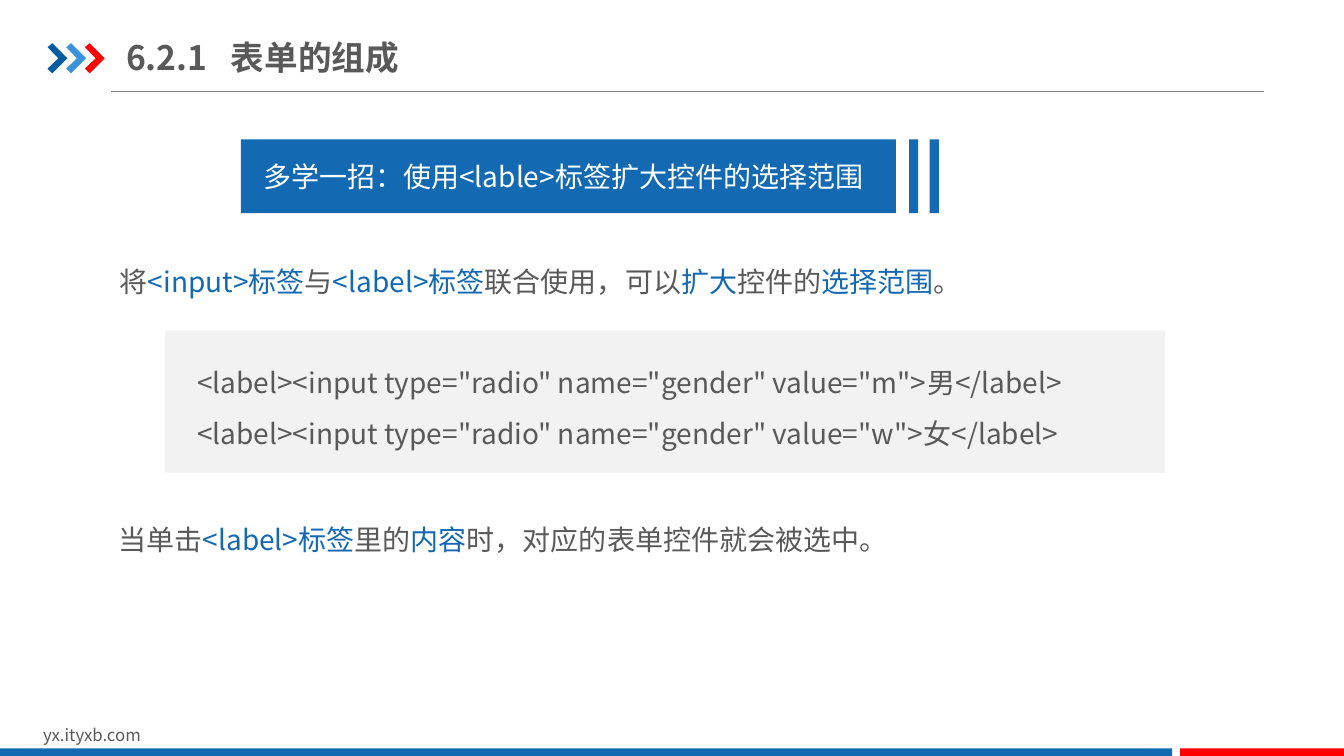
"""Build the slide on widening a control's clickable area with the label tag."""
from dataclasses import dataclass

from lxml import etree
from pptx import Presentation
from pptx.dml.color import RGBColor
from pptx.enum.shapes import MSO_CONNECTOR, MSO_SHAPE
from pptx.enum.text import MSO_ANCHOR
from pptx.oxml.ns import qn
from pptx.util import Cm, Pt

RECTANGLE = MSO_SHAPE.RECTANGLE
STRAIGHT = MSO_CONNECTOR.STRAIGHT
TOP, MIDDLE = MSO_ANCHOR.TOP, MSO_ANCHOR.MIDDLE


@dataclass(frozen=True)
class Theme:
    font: str = "Noto Sans CJK SC"
    text: str = "595959"
    accent: str = "1369B3"
    blue: str = "1369B2"
    navy: str = "005DA2"
    sky: str = "3992DB"
    red: str = "FF0000"
    panel: str = "F2F2F2"
    rule: str = "808080"
    white: str = "FFFFFF"
    title_size: int = 24
    body_size: int = 20
    footer_size: int = 12


theme = Theme()
deck = Presentation()
deck.slide_width, deck.slide_height = Cm(33.87), Cm(19.05)
page = deck.slides.add_slide(deck.slide_layouts[6])


def paint(shape, color):
    """Give a shape a flat fill without outline or shadow."""
    shape.shadow.inherit = False
    shape.fill.solid()
    shape.fill.fore_color.rgb = RGBColor.from_string(color)
    shape.line.fill.background()


def add_text(place, lines, size, colors, spacing=None, anchor=TOP, bold=None):
    """Add a text box whose spans take the given colors in turn."""
    box = page.shapes.add_textbox(*map(Cm, place))
    frame = box.text_frame
    frame.word_wrap = True
    frame.vertical_anchor = anchor
    frame.text = "\n".join([""] * len(lines))
    for para, pieces in zip(frame.paragraphs, lines):
        para.line_spacing = spacing
        for index, piece in enumerate(pieces):
            span = para.add_run()
            span.text = piece
            span.font.size = Pt(size)
            span.font.bold = bold
            span.font.color.rgb = RGBColor.from_string(colors[index % len(colors)])
            span.font.name = theme.font
            east_asian = etree.SubElement(span.font._element, qn("a:ea"))
            east_asian.set("typeface", theme.font)
    return box


rule = page.shapes.add_connector(STRAIGHT, Cm(2.8), Cm(2.31), Cm(31.86), Cm(2.31))
rule.line.color.rgb = RGBColor.from_string(theme.rule)
rule.line.width = Pt(0.75)
etree.SubElement(rule._element.spPr, qn("a:effectLst"))

chevron = [(0, 1.19), (0.12, 1.09), (0.5, 1.47), (0.12, 1.85), (0, 1.73), (0.27, 1.47)]
for index, color in enumerate((theme.navy, theme.sky, theme.red)):
    left = 1.2 + 0.47 * index
    points = [(Cm(left + x), Cm(y)) for x, y in chevron]
    builder = page.shapes.build_freeform(*points[0])
    builder.add_line_segments(points[1:], close=True)
    paint(builder.convert_to_shape(), color)

bars = [
    (0, 18.86, 29.54, 0.22, theme.blue),
    (29.74, 18.86, 4.13, 0.22, theme.red),
    (6.07, 3.51, 16.51, 1.86, theme.blue),
    (22.91, 3.51, 0.23, 1.86, theme.blue),
    (23.43, 3.51, 0.23, 1.86, theme.blue),
    (4.16, 8.33, 25.2, 3.58, theme.panel),
]
for *place, color in bars:
    paint(page.shapes.add_shape(RECTANGLE, *map(Cm, place)), color)

add_text((0.84, 18.13, 8.08, 0.77), [["yx.ityxb.com"]], theme.footer_size, [theme.text])

title = add_text((3.18, 0.74, 10.82, 1.4), [["6.2.1\t表单的组成"]],
                 theme.title_size, [theme.text], anchor=MIDDLE, bold=True)
title.text_frame.margin_left = title.text_frame.margin_right = 0
title_format = title.text_frame.paragraphs[0]._p.get_or_add_pPr()
tab_list = etree.SubElement(title_format, qn("a:tabLst"))
etree.SubElement(tab_list, qn("a:tab"), pos=str(Cm(2.64)), algn="l")

add_text((6.38, 3.89, 16.21, 1.11), [["多学一招：使用<lable>标签扩大控件的选择范围"]],
         theme.body_size, [theme.white])

body_colors = [theme.text, theme.accent]
usage = ["将", "<input>标签", "与", "<label>标签", "联合使用，可以", "扩大",
         "控件的", "选择范围", "。"]
add_text((2.77, 6.12, 29.18, 1.55), [usage], theme.body_size, body_colors, 1.5)

effect = ["当单击", "<label>标签", "里的", "内容", "时，对应的表单控件就会被选中。"]
add_text((2.74, 12.62, 27.53, 1.55), [effect], theme.body_size, body_colors, 1.5)

code = [[f'<label><input type="radio" name="gender" value="{value}">{label}</label>']
        for value, label in (("m", "男"), ("w", "女"))]
add_text((4.72, 8.66, 24.23, 2.82), code, theme.body_size, [theme.text], 1.5, MIDDLE)

deck.save("out.pptx")
